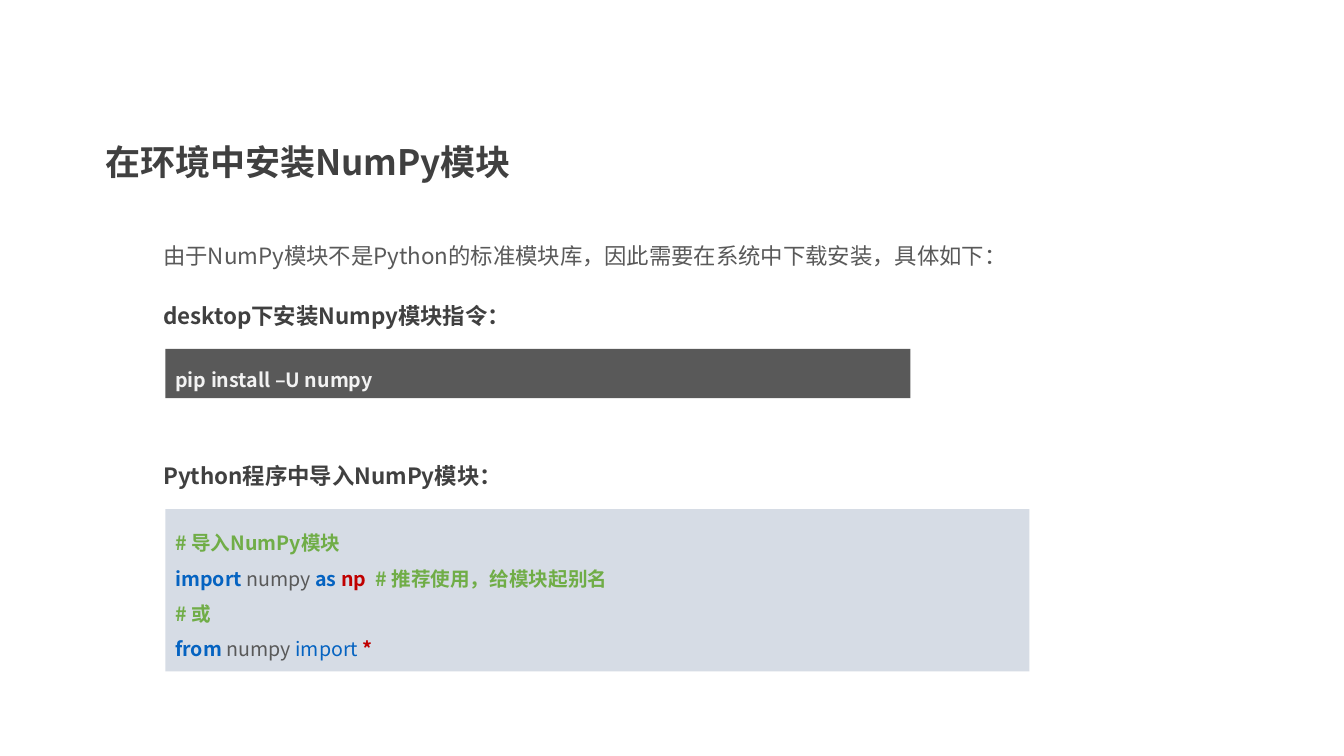
from typing import NamedTuple

from pptx import Presentation
from pptx.dml.color import RGBColor
from pptx.enum.shapes import MSO_SHAPE
from pptx.enum.text import MSO_ANCHOR, MSO_AUTO_SIZE, PP_ALIGN
from pptx.oxml.ns import qn
from pptx.util import Inches, Pt

RECT = MSO_SHAPE.RECTANGLE
MIDDLE = MSO_ANCHOR.MIDDLE
GROW = MSO_AUTO_SIZE.SHAPE_TO_FIT_TEXT
LEFT = PP_ALIGN.LEFT

FONT = "Noto Sans CJK SC"
COLORS = {
    "head": "404040",
    "body": "595959",
    "light": "F2F2F2",
    "panel": "D6DCE5",
    "note": "70AD47",
    "key": "0563C1",
    "name": "C00000",
}


class Run(NamedTuple):
    text: str
    color: str
    bold: bool = True


class Label(NamedTuple):
    box: tuple[float, float, float, float]
    run: Run
    size: int = 16
    space: float = 1.0
    wrap: bool = False


class Panel(NamedTuple):
    box: tuple[float, float, float, float]
    fill: str
    lines: list[list[Run]]


LABELS = [
    Label((0.95, 1.34, 4.31, 0.52), Run("在环境中安装NumPy模块", "head"), size=25, wrap=True),
    Label((1.52, 2.22, 10.35, 0.46),
          Run("由于NumPy模块不是Python的标准模块库，因此需要在系统中下载安装，具体如下：", "body", False),
          space=1.5, wrap=True),
    Label((1.52, 2.95, 3.83, 0.37), Run("desktop下安装Numpy模块指令：", "head")),
    Label((1.52, 4.54, 3.64, 0.37), Run("Python程序中导入NumPy模块：", "head")),
]

PANELS = [
    Panel((1.64, 3.46, 7.39, 0.49), "body", [[Run("pip install –U numpy", "light")]]),
    Panel((1.64, 5.05, 8.57, 1.61), "panel", [
        [Run("# 导入NumPy模块", "note")],
        [Run("import ", "key"), Run("numpy ", "body", False), Run("as ", "key"),
         Run("np  ", "name"), Run("# 推荐使用，给模块起别名", "note")],
        [Run("# 或", "note")],
        [Run("from ", "key"), Run("numpy ", "body", False),
         Run("import ", "key", False), Run("*", "name")],
    ]),
]


def color(name: str) -> RGBColor:
    return RGBColor.from_string(COLORS[name])


def add_text(para, text: str, *, size: int, tint: str, bold: bool) -> None:
    run = para.add_run()
    run.text = text
    font = run.font
    font.name, font.size, font.bold = FONT, Pt(size), bold
    font.color.rgb = color(tint)
    east = run._r.get_or_add_rPr().makeelement(qn("a:ea"), {"typeface": FONT})
    font._element.find(qn("a:latin")).addnext(east)


def fill_frame(frame, lines: list[list[Run]], size: int, space: float) -> None:
    for i, line in enumerate(lines):
        para = frame.add_paragraph() if i else frame.paragraphs[0]
        para.alignment = LEFT
        para.line_spacing = space
        for run in line:
            add_text(para, run.text, size=size, tint=run.color, bold=run.bold)


def draw_label(slide, label: Label) -> None:
    frame = slide.shapes.add_textbox(*map(Inches, label.box)).text_frame
    frame.word_wrap = label.wrap
    frame.auto_size = GROW
    fill_frame(frame, [[label.run]], label.size, label.space)


def draw_panel(slide, panel: Panel) -> None:
    shape = slide.shapes.add_shape(RECT, *map(Inches, panel.box))
    shape.shadow.inherit = False
    shape.fill.solid()
    shape.fill.fore_color.rgb = color(panel.fill)
    shape.line.fill.background()
    frame = shape.text_frame
    frame.word_wrap = True
    frame.vertical_anchor = MIDDLE
    fill_frame(frame, panel.lines, 14, 1.5)


def main() -> None:
    deck = Presentation()
    deck.slide_width, deck.slide_height = Inches(13.33), Inches(7.5)
    slide = deck.slides.add_slide(deck.slide_layouts[6])
    for label in LABELS:
        draw_label(slide, label)
    for panel in PANELS:
        draw_panel(slide, panel)
    deck.save("out.pptx")


if __name__ == "__main__":
    main()
